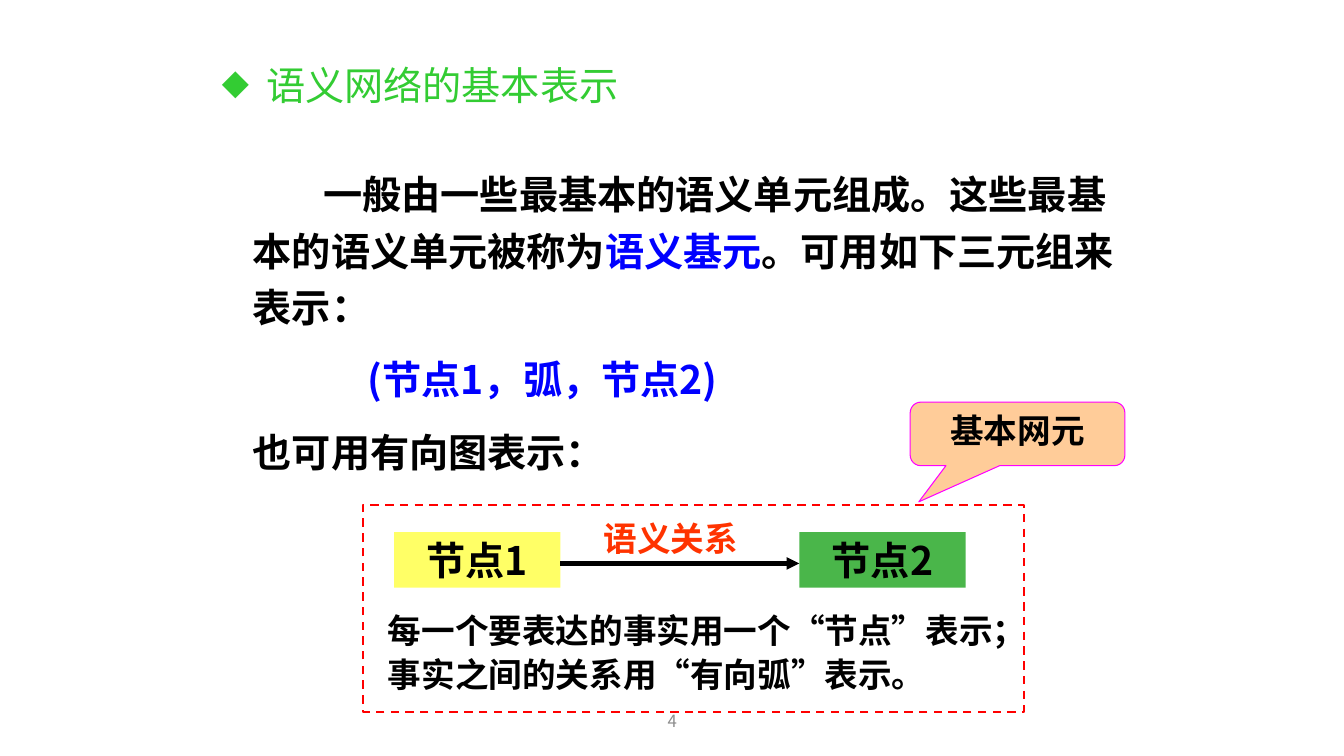
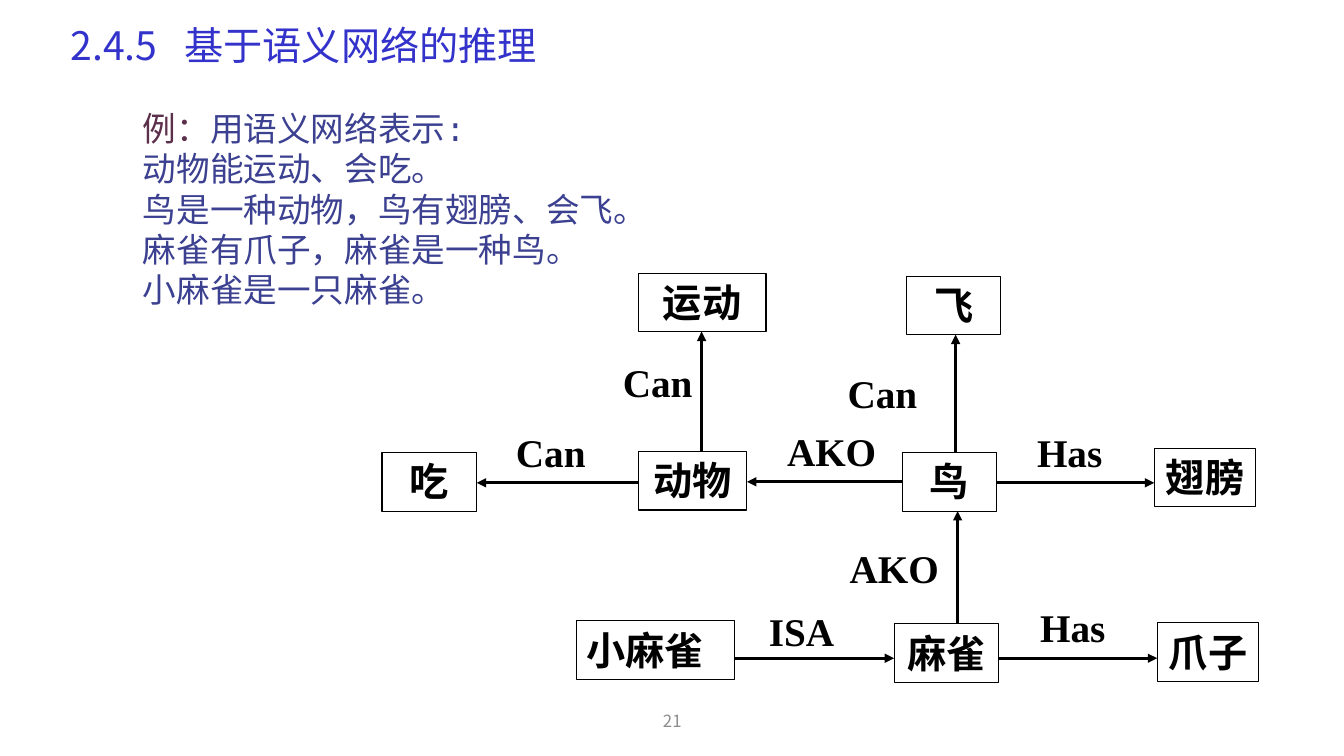
from dataclasses import dataclass
from lxml.etree import SubElement
from pptx import Presentation
from pptx.dml.color import RGBColor
from pptx.enum.dml import MSO_LINE
from pptx.enum.shapes import MSO_CONNECTOR, MSO_SHAPE
from pptx.enum.text import MSO_ANCHOR, MSO_AUTO_SIZE, PP_ALIGN
from pptx.oxml.ns import qn
from pptx.util import Inches, Pt


@dataclass(frozen=True)
class Theme:
    black: str = "000000"
    gray: str = "8C8C8C"
    green: str = "33CC33"
    indigo: str = "3333CC"
    blue: str = "0000FF"
    slate: str = "3B4090"
    plum: str = "5C2F4B"
    red: str = "FF0000"
    orange: str = "FF3300"
    yellow: str = "FFFF66"
    leaf: str = "009900"
    peach: str = "FFCC99"
    magenta: str = "FF00FF"
    sans: str = "Noto Sans CJK SC"
    serif: str = "Times New Roman"
    mono: str = "Courier New"
    large: int = 28
    medium: int = 24
    small: int = 12


theme = Theme()
CELL = Inches(0.1)  # square grid: 133.33 columns by 75 rows
LEFT, CENTER = PP_ALIGN.LEFT, PP_ALIGN.CENTER
TOP, MIDDLE = MSO_ANCHOR.TOP, MSO_ANCHOR.MIDDLE


def set_block(shape, box, paragraphs, size=theme.large, font=theme.sans, bold=True,
              align=LEFT, anchor=TOP, gap=0, spacing=1.0):
    """Place a shape on the grid and fill it with paragraphs of (text, colour) runs."""
    shape.left, shape.top, shape.width, shape.height = [round(cells * CELL) for cells in box]
    frame = shape.text_frame
    frame.word_wrap = True
    frame.auto_size = MSO_AUTO_SIZE.NONE
    frame.vertical_anchor = anchor
    for index, runs in enumerate(paragraphs):
        paragraph = frame.add_paragraph() if index else frame.paragraphs[0]
        paragraph.alignment = align
        paragraph.line_spacing = spacing
        paragraph.space_before = Pt(gap if index else 0)
        for text, color in runs:
            run = paragraph.add_run()
            run.text = text
            run.font.size, run.font.bold, run.font.name = Pt(size), bold, font
            run.font.color.rgb = RGBColor.from_string(color)
            SubElement(run.font._element, qn("a:ea")).set("typeface", theme.sans)
    return frame


def add_arrow(slide, start, end, width):
    ends = [round(cells * CELL) for cells in (*start, *end)]
    arrow = slide.shapes.add_connector(MSO_CONNECTOR.STRAIGHT, *ends)
    arrow.line.width = Pt(width)
    arrow.line.color.rgb = RGBColor.from_string(theme.black)
    SubElement(arrow.line._get_or_add_ln(), qn("a:tailEnd")).set("type", "triangle")
    SubElement(arrow._element.spPr, qn("a:effectLst"))


presentation = Presentation()
presentation.slide_width = round(133.33 * CELL)
presentation.slide_height = 75 * CELL
title_only = presentation.slide_layouts[5]

# Titles and page numbers
slides, titles = [], []
for title, color, left, top, page in (
    ("语义网络的基本表示", theme.green, 21, 5.2, "4"),
    ("2.4.5\t基于语义网络的推理", theme.indigo, 6, 1.2, "21"),
):
    slide = presentation.slides.add_slide(title_only)
    titles.append(set_block(slide.shapes.title, (left, top, 90, 7.1), [[(title, color)]],
                            bold=False, anchor=MIDDLE, spacing=0.9))
    set_block(slide.shapes.add_textbox(0, 0, 0, 0), (44.2, 69.5, 45, 4),
              [[(page, theme.gray)]], theme.small, bold=False, align=CENTER, anchor=MIDDLE)
    slides.append(slide)
basics, inference = slides

# Diamond bullet of the first title
properties = titles[0].paragraphs[0]._p.get_or_add_pPr()
properties.set("marL", str(round(4.4 * CELL)))
properties.set("indent", str(round(-4.4 * CELL)))
SubElement(properties, qn("a:buSzPct")).set("val", "90000")
SubElement(properties, qn("a:buChar")).set("char", "◆")

# Tab stop after the section number of the second title
properties = titles[1].paragraphs[0]._p.get_or_add_pPr()
stop = SubElement(SubElement(properties, qn("a:tabLst")), qn("a:tab"))
stop.set("pos", str(round(11.3 * CELL)))
stop.set("algn", "l")

# Slide 1: explanation
explanation = set_block(basics.shapes.add_textbox(0, 0, 0, 0), (24.1, 15.5, 88, 32.8), [
    [("一般由一些最基本的语义单元组成。这些最基本的语义单元被称为", theme.black),
     ("语义基元", theme.blue),
     ("。可用如下三元组来表示：", theme.black)],
    [("(节点1，弧，节点2)", theme.blue)],
    [("也可用有向图表示：", theme.black)],
], gap=11.2, spacing=1.2)
for paragraph, indent in zip(explanation.paragraphs, (7, 11.4)):
    paragraph._p.get_or_add_pPr().set("indent", str(round(indent * CELL)))

# Slide 1: dashed frame, two nodes and callout
for kind, box, text, size, anchor, fill, line, width in (
    (MSO_SHAPE.RECTANGLE, (36, 50.1, 65.6, 20.5), "", theme.large, MIDDLE,
     None, theme.red, 1.5),
    (MSO_SHAPE.RECTANGLE, (39.1, 52.8, 16.5, 5.5), "节点1", theme.large, MIDDLE,
     theme.yellow, None, 0),
    (MSO_SHAPE.RECTANGLE, (79.3, 52.8, 16.5, 5.5), "节点2", theme.large, MIDDLE,
     theme.leaf, None, 0),
    (MSO_SHAPE.ROUNDED_RECTANGULAR_CALLOUT, (90.3, 39.9, 21.3, 6.3), "基本网元",
     theme.medium, TOP, theme.peach, theme.magenta, 0.75),
):
    shape = basics.shapes.add_shape(kind, 0, 0, 0, 0)
    shape.shadow.inherit = False
    set_block(shape, box, [[(text, theme.black)]] if text else [], size,
              align=CENTER, anchor=anchor)
    if fill:
        shape.fill.solid()
        shape.fill.fore_color.rgb = RGBColor.from_string(fill)
    else:
        shape.fill.background()
    if line:
        shape.line.color.rgb = RGBColor.from_string(line)
        shape.line.width = Pt(width)
    else:
        shape.line.fill.background()
    if fill == theme.leaf:
        color = shape._element.spPr.find(qn("a:solidFill"))[0]
        SubElement(color, qn("a:alpha")).set("val", "71000")
    if not fill:
        shape.line.dash_style = MSO_LINE.DASH
    if kind == MSO_SHAPE.ROUNDED_RECTANGULAR_CALLOUT:
        shape.adjustments[0], shape.adjustments[1] = -0.46, 1.07

# Slide 1: relation and caption
add_arrow(basics, (55.6, 55.9), (79.3, 55.9), 3)
set_block(basics.shapes.add_textbox(0, 0, 0, 0), (58.9, 50.9, 18.9, 5),
          [[("语义关系", theme.orange)]], theme.medium)
set_block(basics.shapes.add_textbox(0, 0, 0, 0), (37.5, 60, 66, 9.5), [
    [("每一个要表达的事实用一个“节点”表示；", theme.black)],
    [("事实之间的关系用“有向弧”表示。", theme.black)],
], theme.medium, gap=2.4)

# Slide 2: facts
set_block(inference.shapes.add_textbox(0, 0, 0, 0), (13.2, 10.2, 86.1, 23.9), [
    [("例：", theme.plum), ("用语义网络表示:", theme.slate)],
    [("动物能运动、会吃。", theme.slate)],
    [("鸟是一种动物，鸟有翅膀、会飞。", theme.slate)],
    [("麻雀有爪子，麻雀是一种鸟。", theme.slate)],
    [("小麻雀是一只麻雀。", theme.slate)],
], theme.medium, theme.mono, bold=False)

# Slide 2: nodes of the network as left, top, width
NODE_HEIGHT = 5.8
nodes = {
    "运动": (63.3, 27.1, 12.7),
    "飞": (89.9, 27.4, 9.4),
    "吃": (37.9, 44.9, 9.4),
    "动物": (63.3, 44.8, 10.8),
    "鸟": (89.5, 44.9, 9.4),
    "翅膀": (114.5, 44.5, 10.1),
    "小麻雀": (57.2, 61.6, 15.7),
    "麻雀": (88.7, 61.9, 10.4),
    "爪子": (114.8, 61.8, 10.1),
}
for name, box in nodes.items():
    node = inference.shapes.add_shape(MSO_SHAPE.RECTANGLE, 0, 0, 0, 0)
    node.shadow.inherit = False
    node.fill.background()
    node.line.color.rgb = RGBColor.from_string(theme.black)
    node.line.width = Pt(0.75)
    set_block(node, (*box, NODE_HEIGHT), [[(name, theme.black)]],
              align=LEFT if name == "小麻雀" else CENTER)

# Slide 2: relations, each along a row (across) or a column (upward)
for source, target, upward, lane, label, label_left, label_top in (
    ("动物", "运动", True, 69.6, "Can", 60.8, 35.1),
    ("鸟", "飞", True, 94.8, "Can", 83.1, 36.1),
    ("麻雀", "鸟", True, 95, "AKO", 83.3, 53.5),
    ("动物", "吃", False, 47.9, "Can", 50.2, 42),
    ("鸟", "动物", False, 47.8, "AKO", 77.1, 41.9),
    ("鸟", "翅膀", False, 47.9, "Has", 101.9, 42),
    ("小麻雀", "麻雀", False, 65.3, "ISA", 75.3, 59.8),
    ("麻雀", "爪子", False, 65.3, "Has", 102.2, 59.4),
):
    source_left, source_top, source_width = nodes[source]
    target_left, target_top, target_width = nodes[target]
    if upward:
        start, end = (lane, source_top), (lane, target_top + NODE_HEIGHT)
    elif source_left < target_left:
        start, end = (source_left + source_width, lane), (target_left, lane)
    else:
        start, end = (source_left, lane), (target_left + target_width, lane)
    add_arrow(inference, start, end, 2.25)
    set_block(inference.shapes.add_textbox(0, 0, 0, 0), (label_left, label_top, 12.6, 5.7),
              [[(label, theme.black)]], font=theme.serif)

presentation.save("out.pptx")
